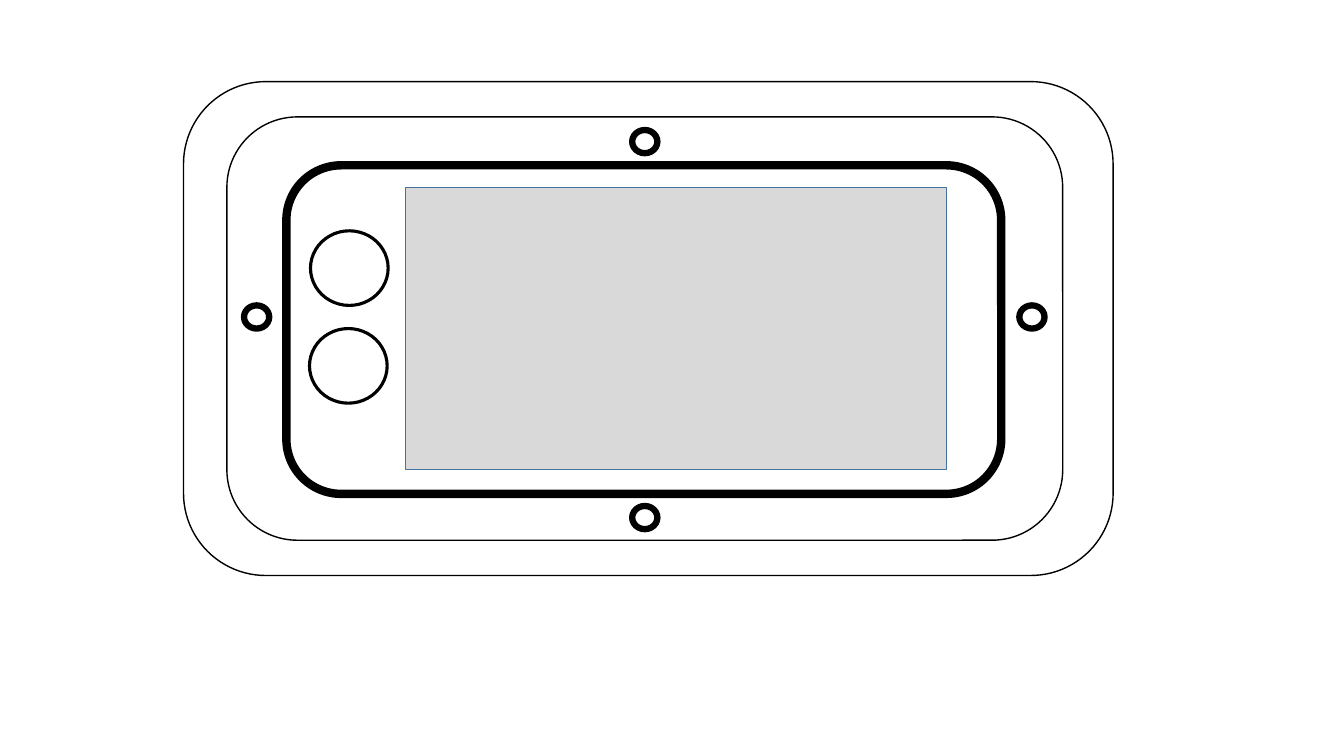
"""Draw the front view of a framed panel with screws, dials and a screen."""
from dataclasses import dataclass
from typing import Optional

import pptx
import pptx.dml.color
import pptx.enum.shapes
import pptx.util

Inches = pptx.util.Inches
RGB = pptx.dml.color.RGBColor
Kind = pptx.enum.shapes.MSO_SHAPE


@dataclass(frozen=True)
class Theme:
    """Colours and line widths (points) of the drawing."""
    ink: RGB = RGB(0x00, 0x00, 0x00)
    screen_fill: RGB = RGB(0xD9, 0xD9, 0xD9)
    screen_edge: RGB = RGB(0x43, 0x73, 0x9E)
    thin: float = 1
    dial: float = 2.25
    screw: float = 4.5
    bezel: float = 6


THEME = Theme()


@dataclass(frozen=True)
class Part:
    """One part of the panel, with its place in inches."""
    kind: Kind
    left: float
    top: float
    width: float
    height: float
    weight: float
    edge: RGB = THEME.ink
    fill: Optional[RGB] = None


def frame(left: float, top: float, width: float, height: float, weight: float) -> Part:
    """Describe a rounded frame."""
    return Part(Kind.ROUNDED_RECTANGLE, left, top, width, height, weight)


def screw(left: float, top: float) -> Part:
    """Describe a screw hole."""
    return Part(Kind.FLOWCHART_CONNECTOR, left, top, 0.25, 0.23, THEME.screw)


def dial(left: float, top: float) -> Part:
    """Describe a round dial."""
    return Part(Kind.FLOWCHART_CONNECTOR, left, top, 0.77, 0.74, THEME.dial)


def draw(slide: pptx.slide.Slide, part: Part) -> None:
    """Add one part to the slide."""
    shape = slide.shapes.add_shape(
        part.kind, Inches(part.left), Inches(part.top),
        Inches(part.width), Inches(part.height))
    shape.shadow.inherit = False
    if part.fill is None:
        shape.fill.background()
    else:
        shape.fill.solid()
        shape.fill.fore_color.rgb = part.fill
    shape.line.color.rgb = part.edge
    shape.line.width = pptx.util.Pt(part.weight)


SCREW_PLACES = [(2.42, 3.03), (10.11, 3.03), (6.27, 1.29), (6.27, 5.02)]
DIAL_PLACES = [(3.08, 2.29), (3.07, 3.26)]

PANEL = [
    frame(2.25, 1.16, 8.29, 4.2, THEME.thin),
    *(screw(*place) for place in SCREW_PLACES),
    frame(2.84, 1.64, 7.09, 3.26, THEME.bezel),
    *(dial(*place) for place in DIAL_PLACES),
    frame(1.82, 0.81, 9.22, 4.9, THEME.thin),
    Part(Kind.RECTANGLE, 4.02, 1.86, 5.37, 2.8, THEME.thin,
         THEME.screen_edge, THEME.screen_fill),
]


def main() -> None:
    """Build and save the slide."""
    deck = pptx.Presentation()
    deck.slide_width = Inches(13.33)
    deck.slide_height = Inches(7.5)
    slide = deck.slides.add_slide(deck.slide_layouts[6])
    for part in PANEL:
        draw(slide, part)
    deck.save("out.pptx")


main()
